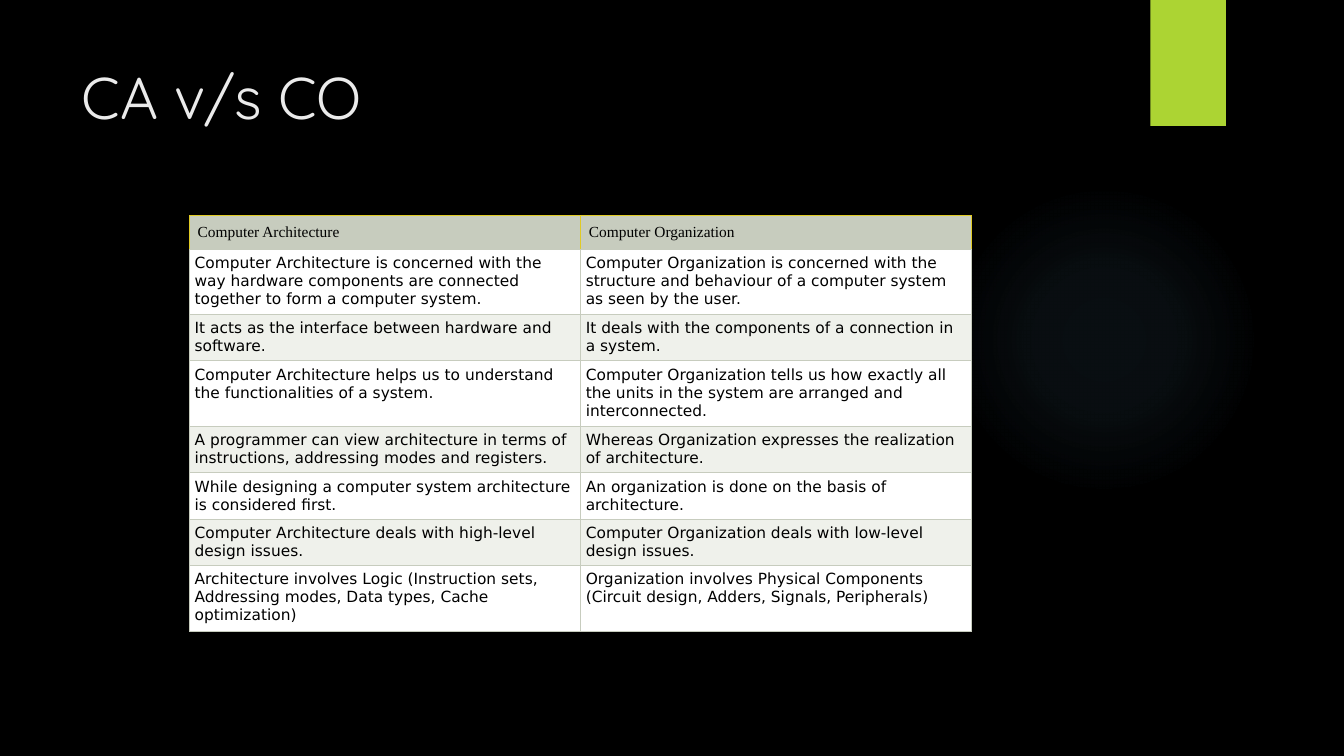
from dataclasses import dataclass

from lxml import etree
from pptx import Presentation
from pptx.dml.color import RGBColor
from pptx.enum import shapes, text
from pptx.oxml import ns
from pptx.util import Inches, Pt


@dataclass(frozen=True)
class Theme:
    background: str = "000000"
    accent: str = "ACD433"
    glow: str = "7AC4F0"
    title: str = "EBEBEB"
    ink: str = "000000"
    rule: str = "C7CCBE"
    header_rule: str = "E0CA25"
    header_fill: str = "C7CCBE"
    row_fills: tuple = ("EFF1EB", "FFFFFF")
    title_size: int = 42
    table_size: int = 11
    title_font: str = "Quicksand"
    header_font: str = "Times New Roman"
    body_font: str = "DejaVu Sans"


THEME = Theme()
DRAWING = ns.nsdecls("a")


def write(frame, words, *, font, size, color, inset, anchor=text.MSO_ANCHOR.TOP):
    """Put one left-aligned, formatted run into a text frame or table cell."""
    frame.margin_left = frame.margin_right = Inches(inset)
    frame.margin_top = frame.margin_bottom = Inches(inset)
    frame.vertical_anchor = anchor
    holder = getattr(frame, "text_frame", frame)
    holder.word_wrap = True
    paragraph = holder.paragraphs[0]
    paragraph.alignment = text.PP_ALIGN.LEFT
    run = paragraph.add_run()
    run.text = words
    run.font.name = font
    run.font.size = Pt(size)
    run.font.bold = False
    run.font.color.rgb = RGBColor.from_string(color)


def set_borders(cell, colors):
    """Draw 0.75 pt borders in the order left, right, top, bottom."""
    properties = cell._tc.get_or_add_tcPr()
    for index, (side, color) in enumerate(zip("LRTB", colors)):
        properties.insert(index, etree.fromstring(
            f'<a:ln{side} {DRAWING} w="{Pt(0.75)}"><a:solidFill>'
            f'<a:srgbClr val="{color}"/></a:solidFill></a:ln{side}>'))


deck = Presentation()
deck.slide_width, deck.slide_height = Inches(13.33), Inches(7.5)
slide = deck.slides.add_slide(deck.slide_layouts[5])
slide.background.fill.solid()
slide.background.fill.fore_color.rgb = RGBColor.from_string(THEME.background)

# Background decoration
glow = slide.shapes.add_shape(shapes.MSO_SHAPE.OVAL, Inches(9.41), Inches(1.83),
                              Inches(3.08), Inches(3.08))
glow.shadow.inherit = False
glow.line.fill.background()
glow.fill.gradient()
stops = "".join(
    f'<a:gs pos="{position * 1000}"><a:srgbClr val="{THEME.glow}">'
    f'<a:alpha val="{opacity * 1000}"/></a:srgbClr></a:gs>'
    for position, opacity in ((0, 7), (36, 6), (69, 0)))
gradient = glow._element.spPr.find(ns.qn("a:gradFill"))
gradient.getparent().replace(gradient, etree.fromstring(
    f'<a:gradFill {DRAWING}><a:gsLst>{stops}</a:gsLst><a:path path="circle">'
    '<a:fillToRect l="50000" t="50000" r="50000" b="50000"/></a:path></a:gradFill>'))

ribbon = slide.shapes.add_shape(shapes.MSO_SHAPE.RECTANGLE, Inches(11.41), 0,
                                Inches(0.75), Inches(1.25))
ribbon.shadow.inherit = False
ribbon.line.fill.background()
ribbon.fill.solid()
ribbon.fill.fore_color.rgb = RGBColor.from_string(THEME.accent)

# Title
title = slide.shapes.title
title.left, title.top = Inches(0.71), Inches(0.5)
title.width, title.height = Inches(10.29), Inches(1.53)
title.text_frame.auto_size = text.MSO_AUTO_SIZE.NONE
write(title.text_frame, "CA v/s CO", font=THEME.title_font, size=THEME.title_size,
      color=THEME.title, inset=0.1)

# Comparison table
comparison = [
    ("Computer Architecture", "Computer Organization"),
    ("Computer Architecture is concerned with the way hardware components are "
     "connected together to form a computer system.",
     "Computer Organization is concerned with the structure and behaviour of a "
     "computer system as seen by the user."),
    ("It acts as the interface between hardware and software.",
     "It deals with the components of a connection in a system."),
    ("Computer Architecture helps us to understand the functionalities of a system.",
     "Computer Organization tells us how exactly all the units in the system are "
     "arranged and interconnected."),
    ("A programmer can view architecture in terms of instructions, addressing modes "
     "and registers.",
     "Whereas Organization expresses the realization of architecture."),
    ("While designing a computer system architecture is considered first.",
     "An organization is done on the basis of architecture."),
    ("Computer Architecture deals with high-level design issues.",
     "Computer Organization deals with low-level design issues."),
    ("Architecture involves Logic (Instruction sets, Addressing modes, Data types, "
     "Cache optimization)",
     "Organization involves Physical Components (Circuit design, Adders, Signals, "
     "Peripherals)"),
]
row_heights = (0.33, 0.65, 0.46, 0.65, 0.46, 0.46, 0.46, 0.65)
table = slide.shapes.add_table(len(comparison), 2, Inches(1.88), Inches(2.14),
                               Inches(7.77), Inches(sum(row_heights))).table
for column in table.columns:
    column.width = Inches(3.88)

for row, (height, entries) in enumerate(zip(row_heights, comparison)):
    table.rows[row].height = Inches(height)
    is_header = row == 0
    fill = THEME.header_fill if is_header else THEME.row_fills[row % 2]
    side_rule = THEME.header_rule if is_header else THEME.rule
    for column, entry in enumerate(entries):
        cell = table.cell(row, column)
        write(cell, entry, font=THEME.header_font if is_header else THEME.body_font,
              size=THEME.table_size, color=THEME.ink, inset=0.08 if is_header else 0.05)
        cell.fill.solid()
        cell.fill.fore_color.rgb = RGBColor.from_string(fill)
        set_borders(cell, (side_rule, side_rule, side_rule, THEME.rule))

deck.save("out.pptx")
